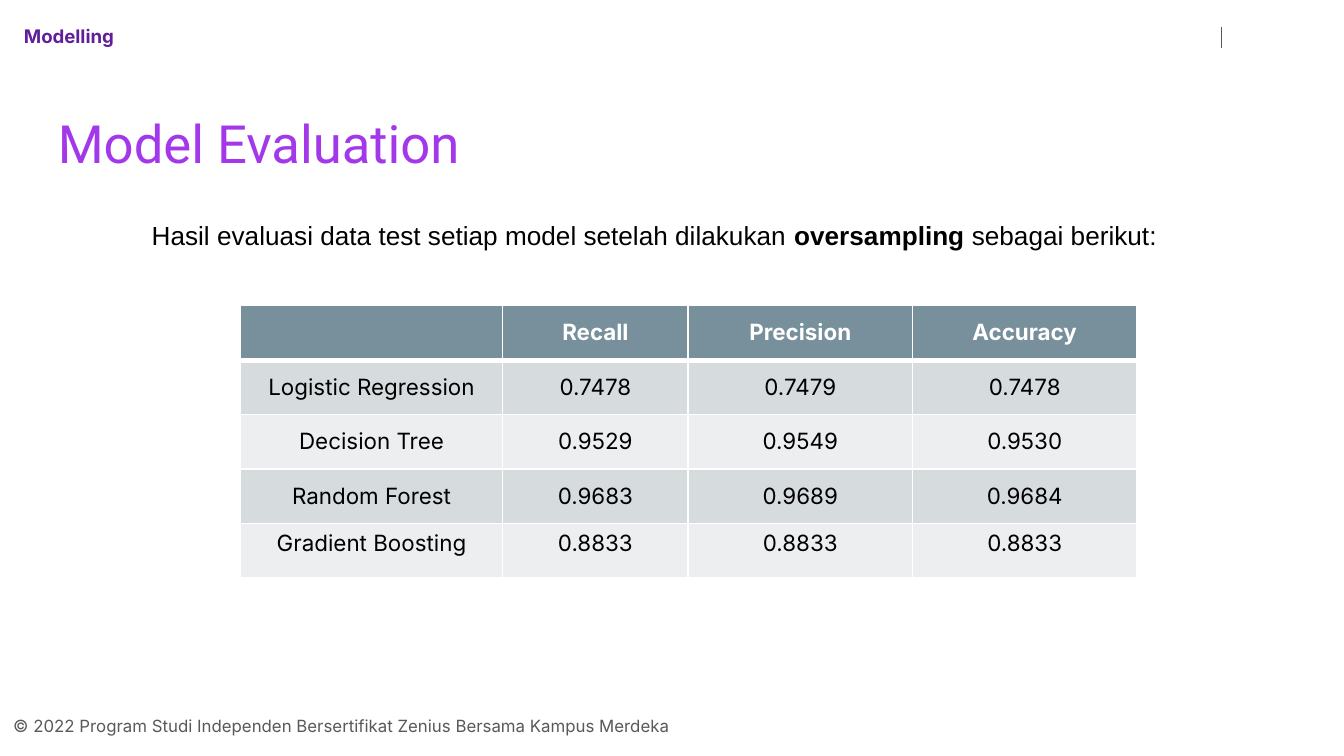
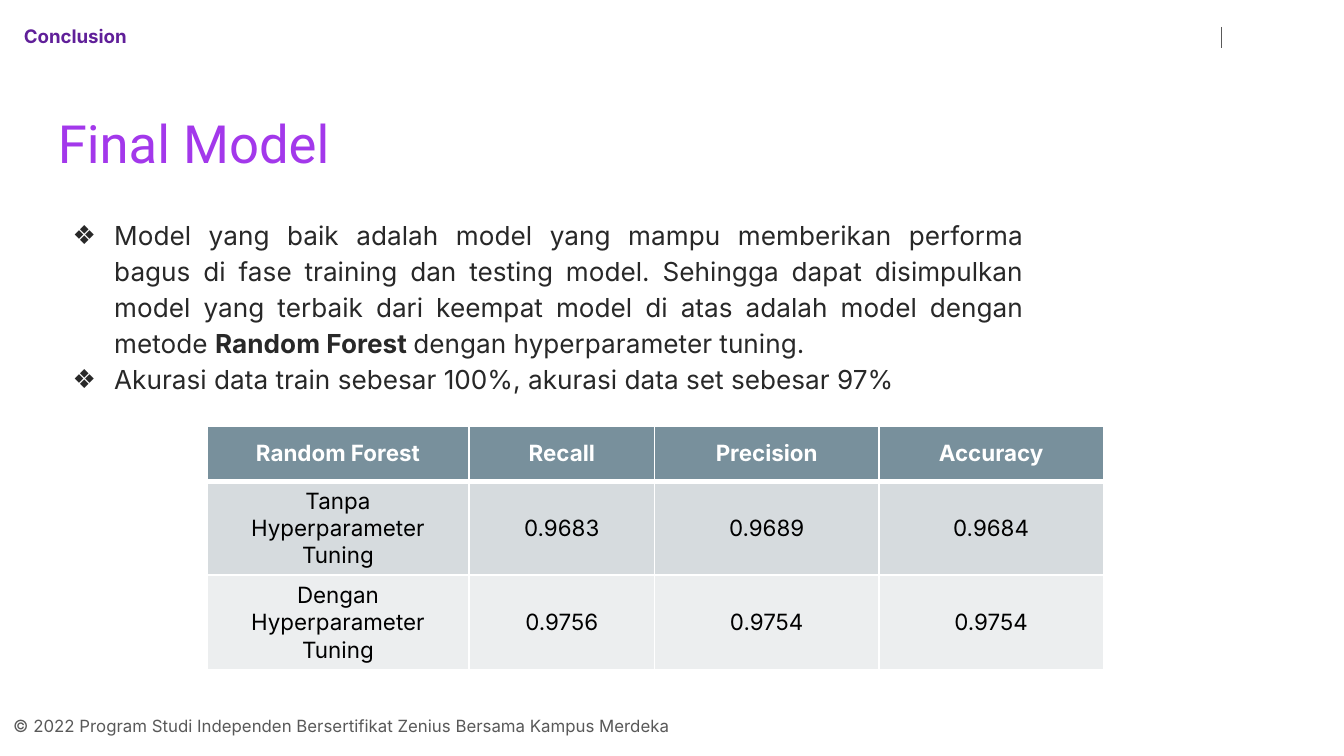
from lxml import etree
from pptx import Presentation
from pptx.dml.color import RGBColor
from pptx.enum.shapes import MSO_CONNECTOR
from pptx.enum.text import MSO_ANCHOR, MSO_AUTO_SIZE, PP_ALIGN
from pptx.oxml.ns import qn
from pptx.util import Inches, Pt

LEFT, CENTER, JUSTIFY = PP_ALIGN.LEFT, PP_ALIGN.CENTER, PP_ALIGN.JUSTIFY
TOP, MIDDLE = MSO_ANCHOR.TOP, MSO_ANCHOR.MIDDLE
NO_FIT, GROW = MSO_AUTO_SIZE.NONE, MSO_AUTO_SIZE.SHAPE_TO_FIT_TEXT
STRAIGHT = MSO_CONNECTOR.STRAIGHT

WHITE, BLACK = "FFFFFF", "000000"
PURPLE, VIOLET = "601F99", "A338EB"
GREY, INK = "595959", "282828"
HEADER, BANDS = "78909C", ("D6DBDE", "ECEEEF")

FOOTER = "© 2022 Program Studi Independen Bersertifikat Zenius Bersama Kampus Merdeka"
METRICS = ["Recall", "Precision", "Accuracy"]
COLS = (19.5, 13.8, 16.7, 16.7)
HEAD_ROW = 4.1

EVALUATION = {
    "section": "Modelling",
    "title": "Model Evaluation",
    "intro": [("Hasil evaluasi data test setiap model setelah dilakukan ", False),
              ("oversampling ", True), ("sebagai berikut:", False)],
    "table": [
        ["", *METRICS],
        ["Logistic Regression", "0.7478", "0.7479", "0.7478"],
        ["Decision Tree", "0.9529", "0.9549", "0.9530"],
        ["Random Forest", "0.9683", "0.9689", "0.9684"],
        ["Gradient Boosting", "0.8833", "0.8833", "0.8833"],
    ],
    "table_at": (17.9, 22.7),
    "row": 4.05,
    "top_rows": (4,),
}
FINAL = {
    "section": "Conclusion",
    "title": "Final Model",
    "bullets": [
        [("Model yang baik adalah model yang mampu memberikan performa bagus di fase "
          "training dan testing model. Sehingga dapat disimpulkan model yang terbaik "
          "dari keempat model di atas adalah model dengan metode ", False),
         ("Random Forest ", True), ("dengan hyperparameter tuning.", False)],
        [("Akurasi data train sebesar 100%, akurasi data set sebesar 97%", False)],
    ],
    "table": [
        ["Random Forest", *METRICS],
        ["Tanpa Hyperparameter\nTuning", "0.9683", "0.9689", "0.9684"],
        ["Dengan Hyperparameter Tuning", "0.9756", "0.9754", "0.9754"],
    ],
    "table_at": (15.4, 31.7),
    "row": 7,
    "top_rows": (),
}


def rgb(color):
    return RGBColor.from_string(color)


def grid(*cells):
    return [Inches(n / 10) for n in cells]


def write(p, runs, size, font, color, align=LEFT):
    p.alignment = align
    for text, bold in runs:
        r = p.add_run()
        r.text = text
        r.font.size, r.font.name, r.font.bold = Pt(size), font, bold
        r.font.color.rgb = rgb(color)


def frame(sp, anchor=TOP, fit=NO_FIT, pad_y=1):
    tf = sp.text_frame
    tf.word_wrap, tf.auto_size, tf.vertical_anchor = True, fit, anchor
    tf.margin_left, tf.margin_right = grid(1, 1)
    tf.margin_top, tf.margin_bottom = grid(pad_y, pad_y)
    return tf


def place(sp, *cells):
    sp.left, sp.top, sp.width, sp.height = grid(*cells)
    return sp


def add_text(s, cells, runs, size, font, color, align=LEFT, pad_y=1):
    tf = frame(s.shapes.add_textbox(*grid(*cells)), fit=GROW, pad_y=pad_y)
    write(tf.paragraphs[0], runs, size, font, color, align)


def add_bullet(p):
    pPr = p._p.get_or_add_pPr()
    pPr.set("marL", str(Inches(0.46)))
    pPr.set("indent", str(-Inches(0.31)))
    clr = etree.SubElement(pPr, qn("a:buClr"))
    etree.SubElement(clr, qn("a:srgbClr"), val=INK)
    etree.SubElement(pPr, qn("a:buChar"), char="❖")


def add_bullets(s, items):
    tf = frame(place(s.placeholders[1], 2.9, 15, 74.3, 29.3))
    for i, runs in enumerate(items):
        p = tf.add_paragraph() if i else tf.paragraphs[0]
        add_bullet(p)
        p.line_spacing = 1.15
        p.space_before = Pt(0)
        write(p, runs, 14, "Inter", INK, JUSTIFY)


def border(cell, **widths):
    tcPr = cell._tc.get_or_add_tcPr()
    for side in "LRTB":
        ln = etree.SubElement(tcPr, qn(f"a:ln{side}"), w=str(Pt(widths.get(side, 1))))
        fill = etree.SubElement(ln, qn("a:solidFill"))
        etree.SubElement(fill, qn("a:srgbClr"), val=WHITE)


def add_table(s, rows, at, row_height, top_rows):
    height = HEAD_ROW + row_height * (len(rows) - 1)
    tbl = s.shapes.add_table(len(rows), len(COLS), *grid(*at, sum(COLS), height)).table
    for col, width in zip(tbl.columns, grid(*COLS)):
        col.width = width
    for i, row in enumerate(rows):
        head = i == 0
        tbl.rows[i].height = grid(HEAD_ROW if head else row_height)[0]
        for j, text in enumerate(row):
            cell = tbl.cell(i, j)
            border(cell, **({"B": 3} if head else {"T": 3} if i == 1 else {}))
            cell.fill.solid()
            cell.fill.fore_color.rgb = rgb(HEADER if head else BANDS[(i - 1) % 2])
            cell.vertical_anchor = TOP if i in top_rows else MIDDLE
            tf = cell.text_frame
            for k, line in enumerate(text.split("\n") if text else []):
                p = tf.add_paragraph() if k else tf.paragraphs[0]
                write(p, [(line, head)], 12, "Inter", WHITE if head else BLACK, CENTER)


def add_divider(s):
    line = s.shapes.add_connector(STRAIGHT, *grid(90.9, 2, 90.9, 3.6))
    line.line.color.rgb, line.line.width = rgb(GREY), Pt(0.75)
    etree.SubElement(line._element.spPr, qn("a:effectLst"))


def add_slide(prs, data):
    s = prs.slides.add_slide(prs.slide_layouts[1 if "bullets" in data else 5])
    add_text(s, (0, 52.5, 97.8, 3.5), [(FOOTER, False)], 9, "Inter", GREY)
    add_divider(s)
    tf = frame(place(s.shapes.title, 3.3, 6.1, 92.7, 9), MIDDLE)
    write(tf.paragraphs[0], [(data["title"], False)], 28.2, "Roboto", VIOLET)
    add_text(s, (0.8, 1, 66.5, 3.7), [(data["section"], True)], 10, "Inter", PURPLE)
    if "intro" in data:
        add_text(s, (10.3, 15.8, 79.2, 3.4), data["intro"], 14, "Arial", BLACK, JUSTIFY, 0.5)
    if "bullets" in data:
        add_bullets(s, data["bullets"])
    add_table(s, data["table"], data["table_at"], data["row"], data["top_rows"])


def main():
    prs = Presentation()
    prs.slide_width, prs.slide_height = grid(100, 56.25)
    for data in (EVALUATION, FINAL):
        add_slide(prs, data)
    prs.save("out.pptx")


if __name__ == "__main__":
    main()
